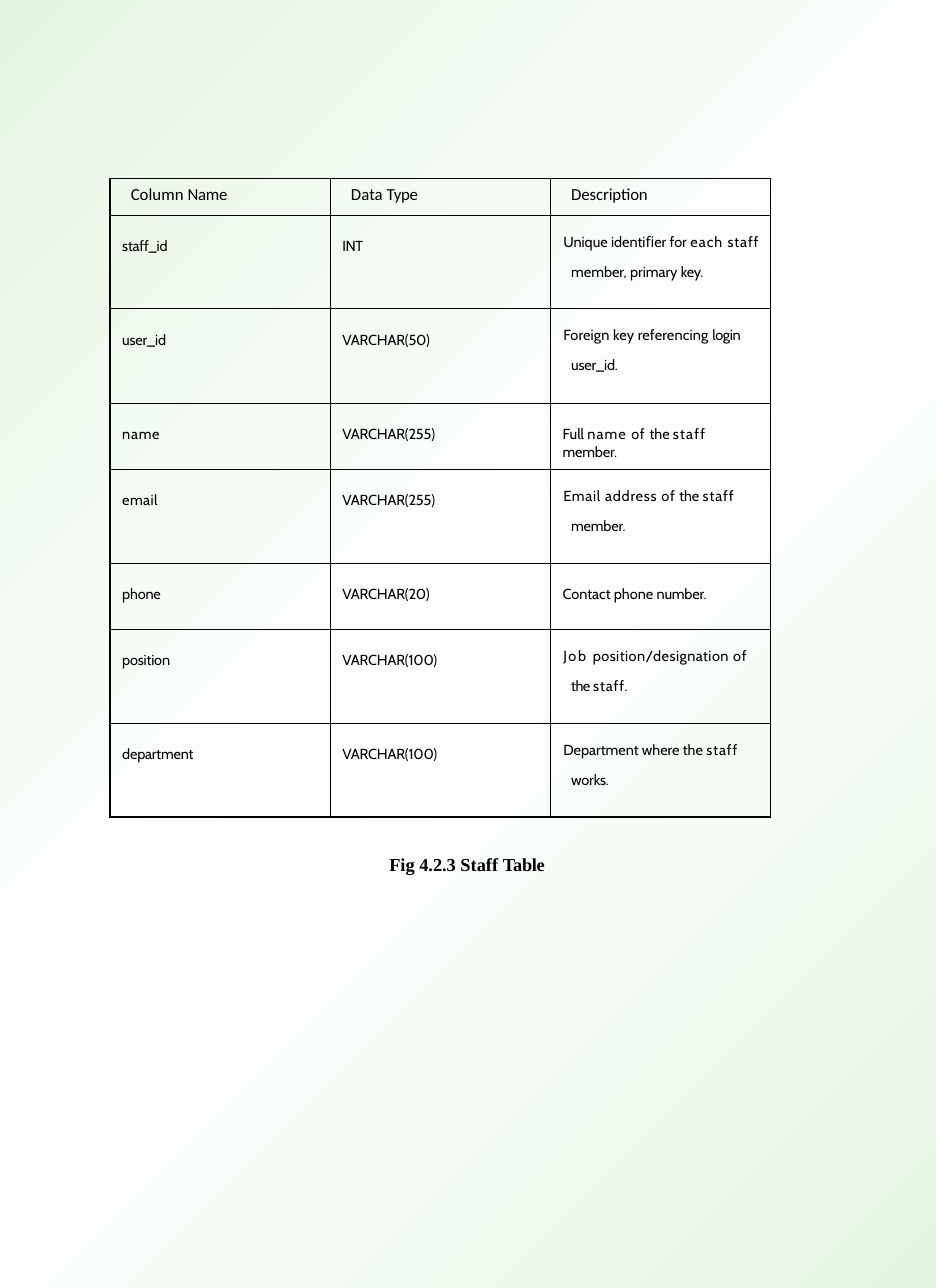
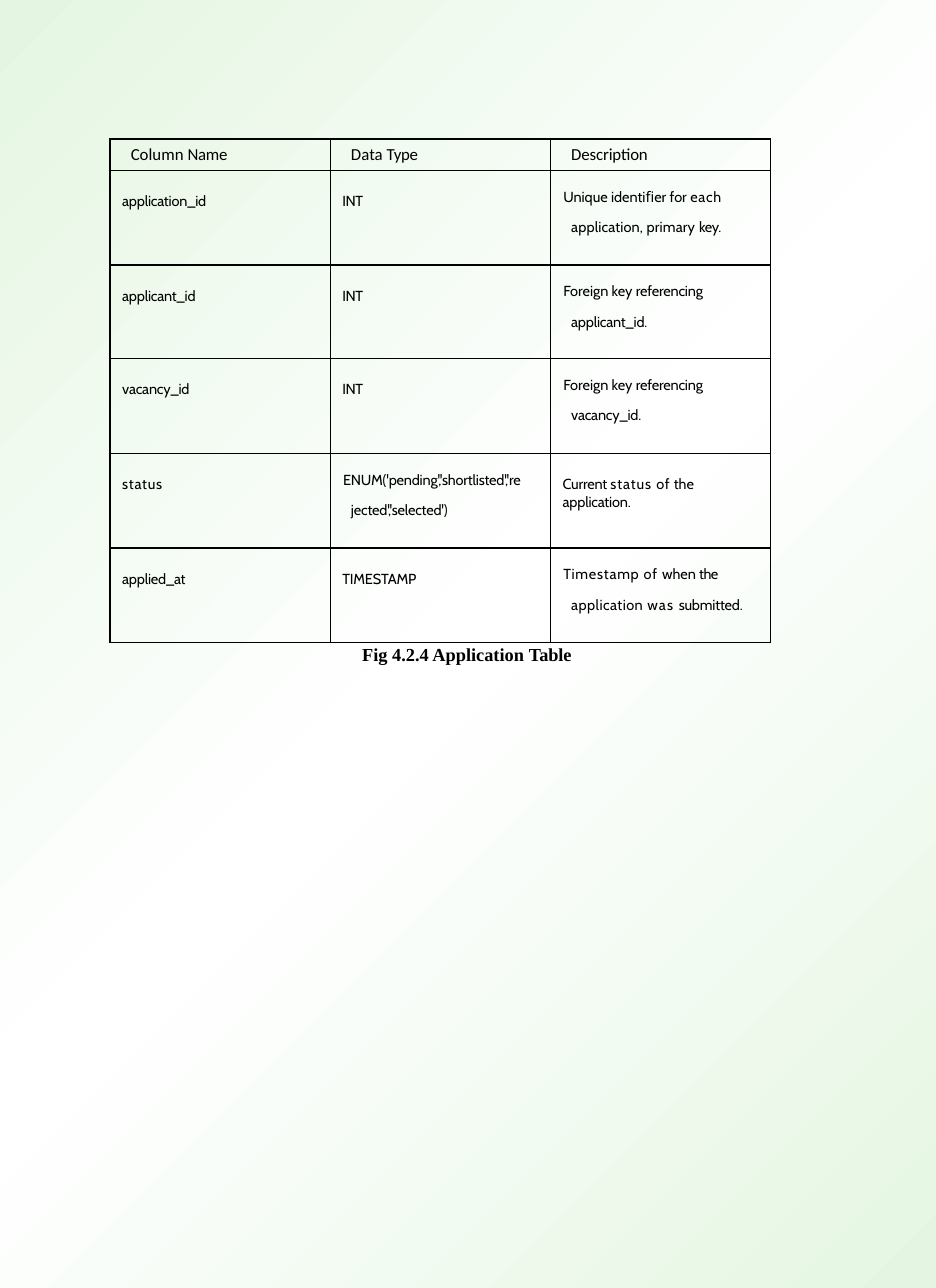
"""Build two pages that describe database tables on a shared green gradient."""
from copy import deepcopy

from lxml import etree
from pptx import Presentation
from pptx.dml.color import RGBColor
from pptx.enum.text import MSO_ANCHOR
from pptx.oxml.ns import qn
from pptx.util import Pt

TOP = MSO_ANCHOR.TOP
PAGE_W, PAGE_H = 612, 842
TABLE_LEFT, COL_W = 72, 144
BLACK, GREEN, WHITE = "000000", "E4F6E2", "FFFFFF"
BORDER_W = 0.96
BACKGROUND = [(0, GREEN), (0.5, WHITE), (1, GREEN)]

STYLES = {
    "head": dict(font="Calibri", size=11, left=6.3, indent=0, top=3.6, line=1),
    "plain": dict(font="Cabin", size=9.5, left=0.7, indent=0, top=14.6, line=1),
    "hang": dict(font="Cabin", size=9.5, left=6.3, indent=-5.2, top=3.6, line=1.71),
}

HEADER = [
    ("head", [("Column ", 0), ("Name", -0.2)]),
    ("head", [("Data ", 0), ("Type", -0.2)]),
    ("head", [("Description", -0.1)]),
]


def plain(text, spacing=-0.1):
    """Return a one-run cell in the plain style."""
    return "plain", [(text, spacing)]


INT = plain("INT", -0.3)

PAGES = [
    {
        "top": 116.8,
        "header_h": 23.9,
        "rows": [
            (61.2, plain("staff_id"), INT,
             ("hang", [("Unique identiﬁer for ", 0), ("each", 0.7), (" staff ", 0.6),
                       ("member, primary ", 0), ("key.", -0.2)])),
            (61.9, plain("user_id"), plain("VARCHAR(50)"),
             ("hang", [("Foreign key referencing ", 0.1), ("login ", -0.2),
                       ("user_id.", -0.1)])),
            (43.2, plain("name", 0.5), plain("VARCHAR(255)"),
             ("plain", [("Full ", 0), ("name ", 0.7), ("of ", 0.5), ("the ", 0),
                        ("staff ", 0.8), ("member.", -0.1)])),
            (61.2, plain("email", 0.3), plain("VARCHAR(255)"),
             ("hang", [("Email address of", 0.5), (" the ", 0), ("staff ", 0.6),
                       ("member.", -0.1)])),
            (43.2, plain("phone"), plain("VARCHAR(20)"),
             ("plain", [("Contact phone ", 0), ("number.", -0.1)])),
            (61.6, plain("position"), plain("VARCHAR(100)"),
             ("hang", [("Job ", 1.1), ("position/designation ", 0.3), ("of ", 0.5),
                       ("the ", -0.3), ("staff.", 0.6)])),
            (61.2, plain("department"), plain("VARCHAR(100)"),
             ("hang", [("Department where the ", 0), ("staff ", 0.6),
                       ("works.", -0.1)])),
        ],
        "caption": [("Fig 4.2.3 Staff ", 0), ("Table", -0.2)],
        "caption_top": 557,
        "caption_w": 104.4,
    },
    {
        "top": 90.9,
        "header_h": 20.2,
        "rows": [
            (61.9, plain("application_id"), INT,
             ("hang", [("Unique identiﬁer for ", 0), ("each ", 0.5),
                       ("application, primary ", 0.1), ("key.", -0.2)])),
            (61.2, plain("applicant_id"), INT,
             ("hang", [("Foreign key ", 0), ("referencing applicant_id.", -0.1)])),
            (61.9, plain("vacancy_id"), INT,
             ("hang", [("Foreign key ", 0), ("referencing vacancy_id.", -0.1)])),
            (61.9, plain("status", 0.5),
             ("hang", [("ENUM('pending','shortlisted','re jected','selected')", -0.1)]),
             ("plain", [("Current ", -0.1), ("status ", 0.6), ("of", 0.5),
                        (" the ", 0), ("application.", -0.1)])),
            (61.9, plain("applied_at"), plain("TIMESTAMP"),
             ("hang", [("Timestamp of ", 0.5), ("when ", 0), ("the ", -0.3),
                       ("application ", 0.3), ("was ", 0.8), ("submitted.", -0.1)])),
        ],
        "caption": [("Fig 4.2.4 Application ", 0), ("Table", -0.1)],
        "caption_top": 419.8,
        "caption_w": 139.7,
    },
]


def rgb(value):
    """Turn a hex string into a colour."""
    return RGBColor.from_string(value)


def set_background(master):
    """Give the master a three-stop diagonal gradient."""
    fill = master.background.fill
    fill.gradient()
    fill.gradient_angle = 315
    stops = master.element.find(".//" + qn("a:gsLst"))
    stops.insert(1, deepcopy(stops[0]))
    for stop, (position, color) in zip(fill.gradient_stops, BACKGROUND):
        stop.position = position
        stop.color.rgb = rgb(color)


def add_runs(p, runs, font, size, bold=False):
    """Add runs of text, each with its own letter spacing."""
    for text, spacing in runs:
        r = p.add_run()
        r.text = text
        r.font.name, r.font.size, r.font.bold = font, Pt(size), bold
        r.font.color.rgb = rgb(BLACK)
        r._r.get_or_add_rPr().set("spc", str(round(spacing * 100)))


def set_borders(cell):
    """Draw a black line on all four sides of a cell."""
    tcPr = cell._tc.get_or_add_tcPr()
    for i, side in enumerate(("lnL", "lnR", "lnT", "lnB")):
        ln = etree.Element(qn("a:" + side), w=str(Pt(BORDER_W)))
        fill = etree.SubElement(ln, qn("a:solidFill"))
        etree.SubElement(fill, qn("a:srgbClr"), val=BLACK)
        tcPr.insert(i, ln)


def fill_cell(cell, style_name, runs):
    """Write and format one table cell."""
    style = STYLES[style_name]
    cell.fill.background()
    set_borders(cell)
    cell.vertical_anchor = TOP
    cell.margin_left = cell.margin_right = Pt(7.2)
    cell.margin_top, cell.margin_bottom = Pt(style["top"]), Pt(3.6)
    p = cell.text_frame.paragraphs[0]
    pPr = p._p.get_or_add_pPr()
    pPr.set("marL", str(Pt(style["left"])))
    pPr.set("indent", str(Pt(style["indent"])))
    p.line_spacing = style["line"]
    add_runs(p, runs, style["font"], style["size"])


def add_schema_table(s, page):
    """Add the table with its header row and column descriptions."""
    rows = [(page["header_h"], *HEADER), *page["rows"]]
    total = sum(row[0] for row in rows)
    table = s.shapes.add_table(len(rows), len(HEADER), Pt(TABLE_LEFT), Pt(page["top"]),
                               Pt(COL_W * len(HEADER)), Pt(total)).table
    table.first_row = table.horz_banding = False
    for column in table.columns:
        column.width = Pt(COL_W)
    for i, (height, *cells) in enumerate(rows):
        table.rows[i].height = Pt(height)
        for j, (style_name, runs) in enumerate(cells):
            fill_cell(table.cell(i, j), style_name, runs)


def add_caption(s, page):
    """Add the bold caption, centred on the page."""
    width = page["caption_w"]
    tf = s.shapes.add_textbox(Pt((PAGE_W - width) / 2), Pt(page["caption_top"]),
                              Pt(width), Pt(15.1)).text_frame
    tf.word_wrap = True
    tf.margin_left = tf.margin_top = Pt(0.7)
    tf.margin_right = tf.margin_bottom = 0
    add_runs(tf.paragraphs[0], page["caption"], "Times New Roman", 12, True)


def main():
    """Build and save the presentation."""
    prs = Presentation()
    prs.slide_width, prs.slide_height = Pt(PAGE_W), Pt(PAGE_H)
    set_background(prs.slide_master)
    for page in PAGES:
        s = prs.slides.add_slide(prs.slide_layouts[6])
        add_schema_table(s, page)
        add_caption(s, page)
    prs.save("out.pptx")


if __name__ == "__main__":
    main()
